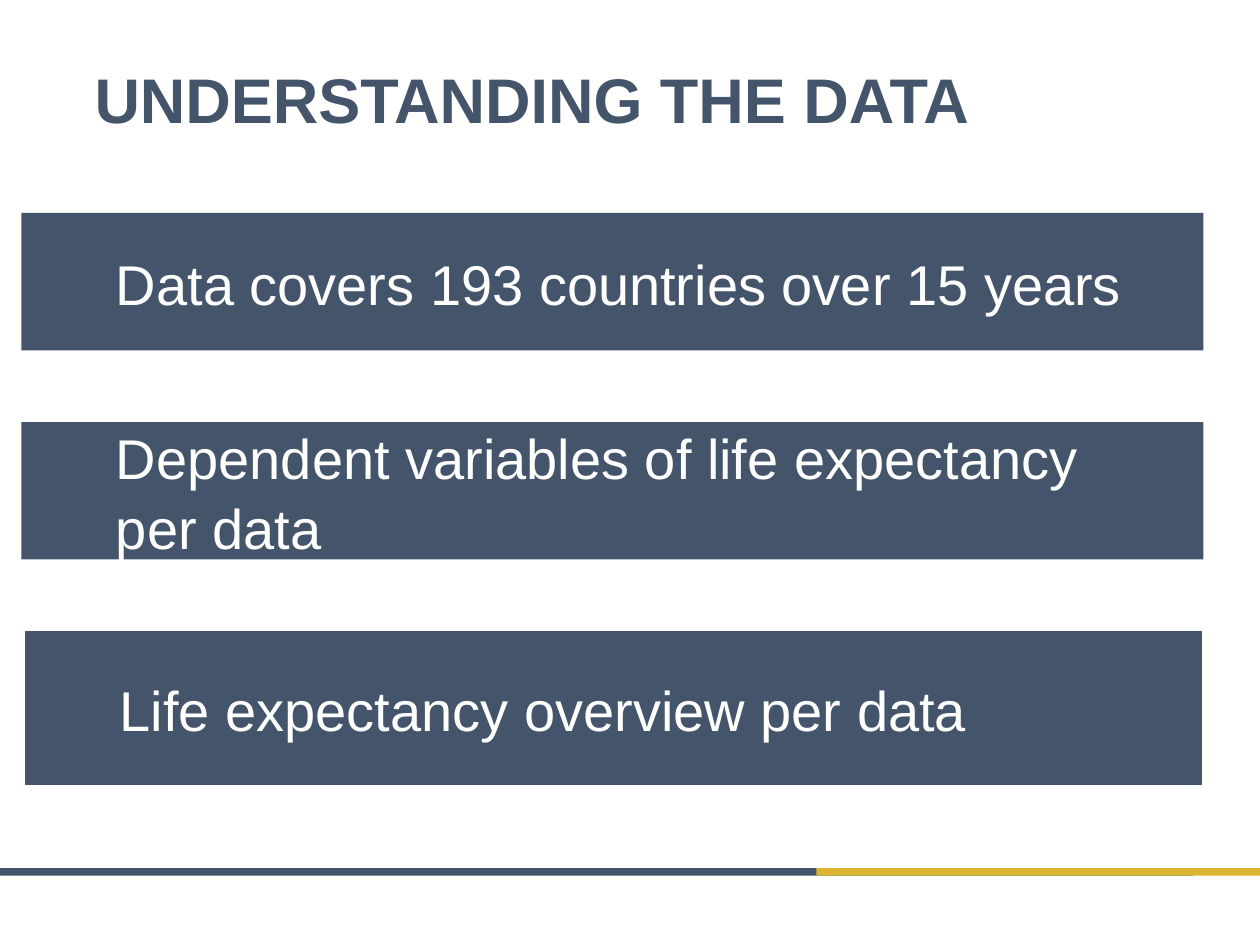
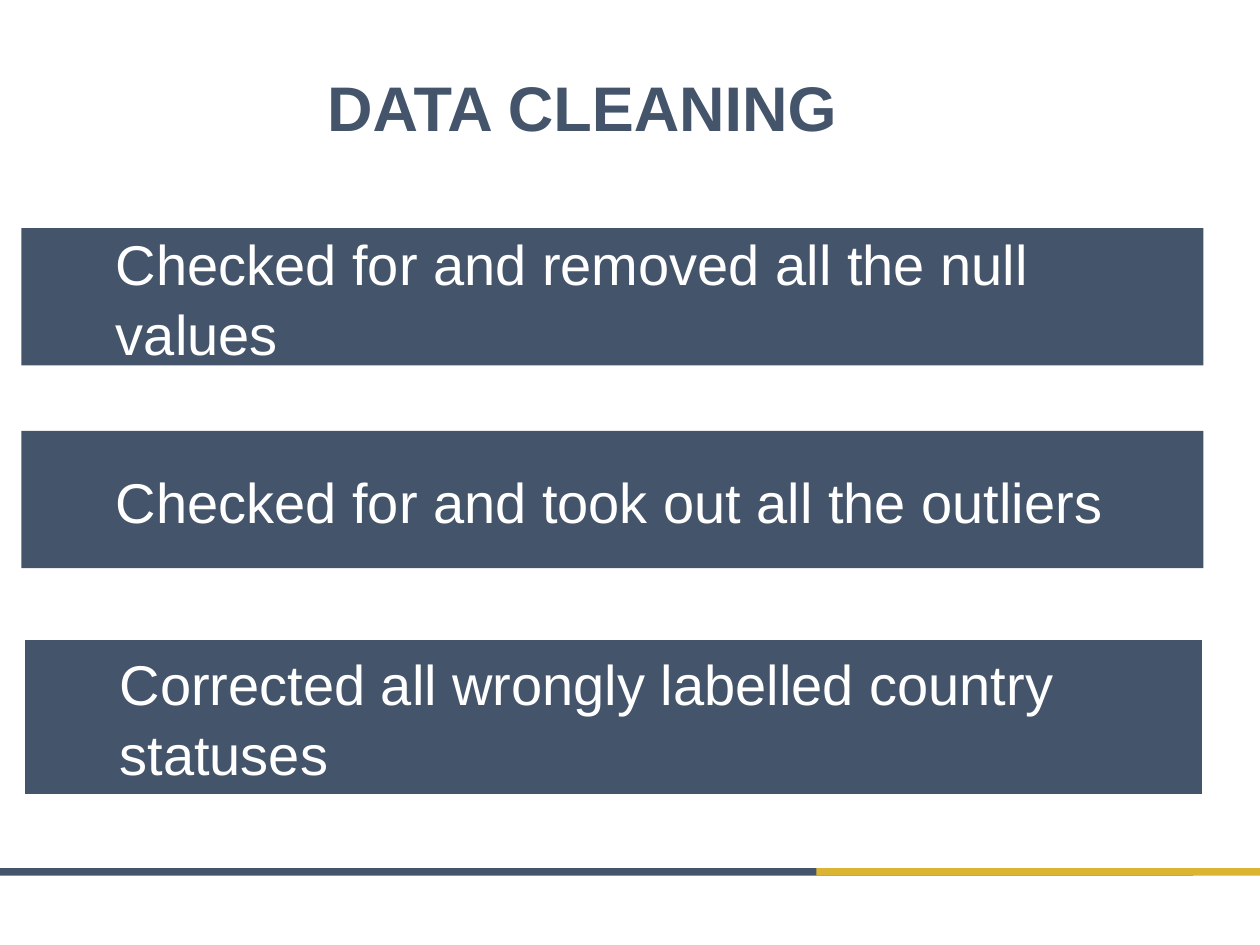
from pptx import Presentation
from pptx.dml.color import RGBColor
from pptx.enum.shapes import MSO_SHAPE
from pptx.enum.text import MSO_ANCHOR, MSO_AUTO_SIZE, PP_ALIGN
from pptx.util import Inches, Pt

SLATE, GOLD, WHITE = "44546A", "DCB434", "FFFFFF"
FONT = "Arial"
TITLE_ONLY = 5


def color(value):
    return RGBColor.from_string(value)


class DeckBuilder:
    """Build slides that share a title style, bars and a footer band."""

    def __init__(self):
        self.deck = Presentation()
        self.deck.slide_width, self.deck.slide_height = Inches(10), Inches(7.5)
        self.page = None

    def add_page(self):
        self.page = self.deck.slides.add_slide(self.deck.slide_layouts[TITLE_ONLY])
        self.rectangle(0, 6.89, 9.47, 0.06, SLATE)
        self.rectangle(6.48, 6.89, 3.52, 0.06, GOLD)

    def rectangle(self, left, top, width, height, fill):
        box = self.page.shapes.add_shape(
            MSO_SHAPE.RECTANGLE, Inches(left), Inches(top), Inches(width), Inches(height))
        box.shadow.inherit = False
        box.fill.solid()
        box.fill.fore_color.rgb = color(fill)
        box.line.fill.background()
        return box

    def set_text(self, box, text, size, ink, align=PP_ALIGN.LEFT, bold=False,
                 left_inset=0.1, right_inset=0.1, spacing=1.0):
        frame = box.text_frame
        frame.text = text
        frame.word_wrap = True
        frame.auto_size = MSO_AUTO_SIZE.NONE
        frame.vertical_anchor = MSO_ANCHOR.MIDDLE
        frame.margin_left, frame.margin_right = Inches(left_inset), Inches(right_inset)
        frame.margin_top = frame.margin_bottom = Inches(0.05)
        para = frame.paragraphs[0]
        para.alignment = align
        para.line_spacing = spacing
        for span in para.runs:
            span.font.name = FONT
            span.font.size = Pt(size)
            span.font.bold = bold
            span.font.color.rgb = color(ink)

    def title(self, text, left, top, align):
        box = self.page.shapes.title
        box.left, box.top = Inches(left), Inches(top)
        box.width, box.height = Inches(8.9), Inches(0.54)
        self.set_text(box, text, 36, SLATE, align, bold=True)

    def bar(self, text, top, is_last):
        left, width, height = (0.2, 9.34, 1.22) if is_last else (0.17, 9.38, 1.09)
        box = self.rectangle(left, top, width, height, SLATE)
        self.set_text(box, text, 32, WHITE, left_inset=0.75, right_inset=0.28, spacing=1.04)

    def bars(self, tops, texts):
        for number, (top, text) in enumerate(zip(tops, texts), start=1):
            self.bar(text, top, is_last=number == len(texts))


def main():
    builder = DeckBuilder()

    builder.add_page()
    builder.title("UNDERSTANDING THE DATA", 0.65, 0.51, PP_ALIGN.LEFT)
    builder.bars((1.69, 3.35, 5.01), (
        "Data covers 193 countries over 15 years",
        "Dependent variables of life expectancy per data",
        "Life expectancy overview per data",
    ))

    builder.add_page()
    builder.title("DATA CLEANING", 0.17, 0.57, PP_ALIGN.CENTER)
    builder.bars((1.81, 3.42, 5.08), (
        "Checked for and removed all the null values",
        "Checked for and took out all the outliers",
        "Corrected all wrongly labelled country statuses",
    ))

    builder.deck.save("out.pptx")


if __name__ == "__main__":
    main()
